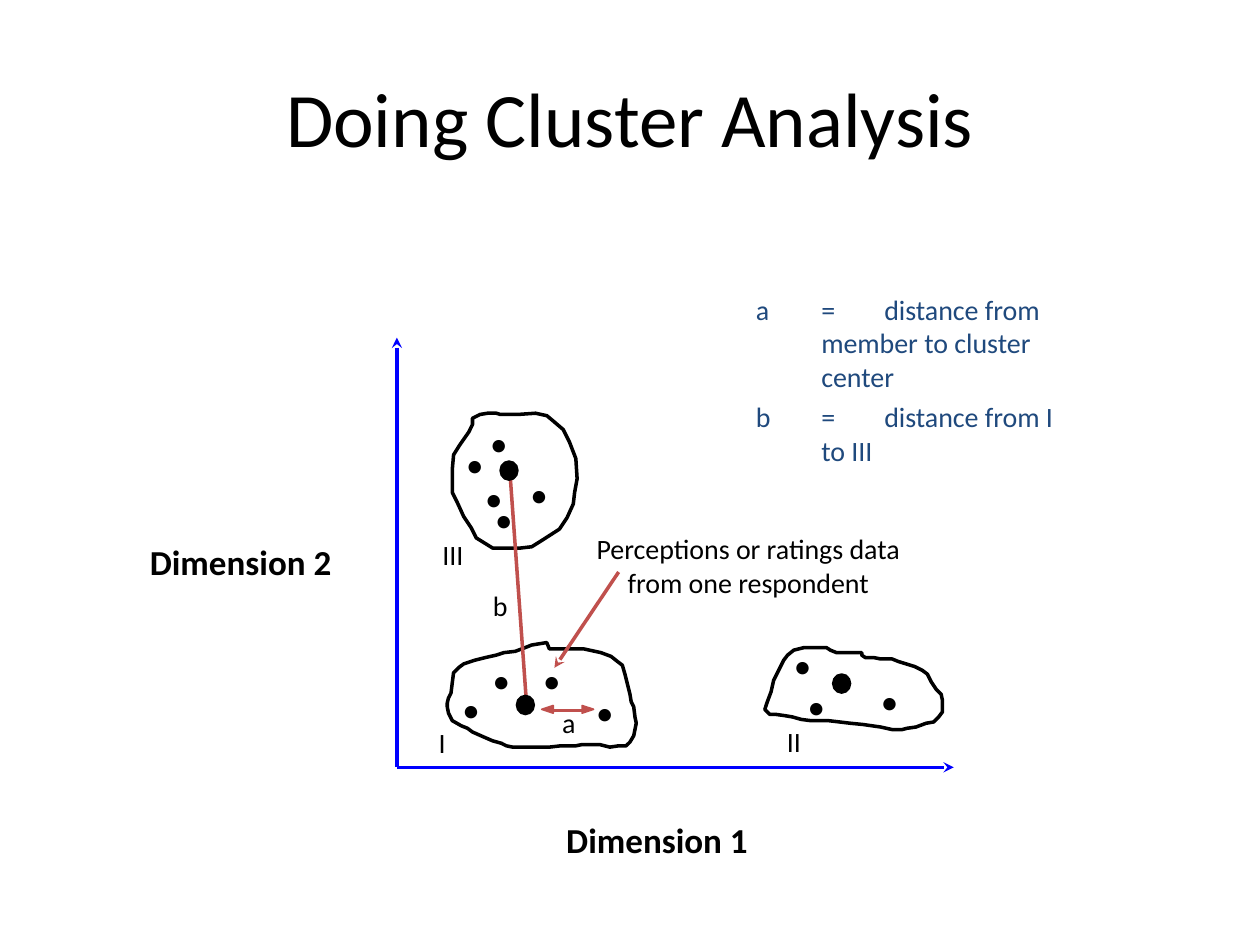
from dataclasses import dataclass

from lxml.etree import SubElement
from pptx import Presentation
from pptx.dml.color import RGBColor
from pptx.enum.shapes import MSO_CONNECTOR as Connector, MSO_SHAPE as Preset
from pptx.enum.text import MSO_ANCHOR as Anchor, MSO_AUTO_SIZE as AutoSize, PP_ALIGN as Align
from pptx.oxml.ns import qn
from pptx.util import Inches, Pt

COLORS = {"ink": "000000", "paper": "FFFFFF", "axis": "0000FF", "distance": "C0504D", "legend": "1F497D"}
FONT = "Calibri"
Point = tuple[float, float]


@dataclass(frozen=True)
class Cluster:
    outline: list[Point]
    center: Point
    members: list[Point]


@dataclass(frozen=True)
class Label:
    text: str
    left: float
    top: float
    width: float
    height: float = 0.37
    size: int = 16
    bold: bool = False
    wrap: bool = False


@dataclass(frozen=True)
class Line:
    start: Point
    end: Point
    color: str
    head: bool = False
    tail: bool = False


CLUSTER_I = Cluster(
    [(3.64, 5.3), (3.68, 5.27), (3.77, 5.24), (3.85, 5.22), (3.94, 5.2), (4, 5.18), (4.09, 5.17),
     (4.17, 5.14), (4.22, 5.12), (4.28, 5.11), (4.34, 5.1), (4.36, 5.15), (4.63, 5.15),
     (4.77, 5.18), (4.85, 5.21), (4.9, 5.25), (4.94, 5.28), (4.96, 5.35), (4.98, 5.43),
     (5, 5.51), (5.01, 5.57), (5.03, 5.61), (5.04, 5.69), (5.05, 5.74), (5.03, 5.84),
     (5, 5.89), (4.97, 5.92), (4.91, 5.92), (4.84, 5.93), (4.76, 5.91), (4.62, 5.91),
     (4.57, 5.92), (4.45, 5.92), (4.36, 5.93), (4.07, 5.93), (4.02, 5.92), (3.98, 5.9),
     (3.91, 5.88), (3.84, 5.85), (3.75, 5.81), (3.71, 5.78), (3.66, 5.76), (3.59, 5.72),
     (3.56, 5.66), (3.55, 5.61), (3.55, 5.58), (3.56, 5.54), (3.58, 5.5), (3.59, 5.42), (3.6, 5.34)],
    (4.1, 5.52),
    [(4.18, 5.18), (4.6, 5.43), (3.78, 5.18), (3.54, 5.41)],
)
CLUSTER_II = Cluster(
    [(6.22, 5.24), (6.25, 5.2), (6.3, 5.16), (6.34, 5.15), (6.38, 5.14), (6.56, 5.14), (6.59, 5.16),
     (6.64, 5.18), (6.84, 5.18), (6.84, 5.2), (6.87, 5.22), (6.94, 5.22), (6.99, 5.23),
     (7.08, 5.23), (7.13, 5.25), (7.26, 5.29), (7.32, 5.32), (7.36, 5.35), (7.38, 5.39),
     (7.39, 5.41), (7.43, 5.47), (7.47, 5.51), (7.48, 5.56), (7.48, 5.65), (7.45, 5.69),
     (7.41, 5.73), (7.35, 5.74), (7.27, 5.77), (7.2, 5.78), (7.16, 5.79), (7.08, 5.79),
     (6.99, 5.77), (6.85, 5.75), (6.75, 5.74), (6.58, 5.72), (6.44, 5.72), (6.36, 5.71),
     (6.29, 5.69), (6.23, 5.68), (6.16, 5.67), (6.11, 5.67), (6.09, 5.65), (6.07, 5.63),
     (6.09, 5.57), (6.12, 5.49), (6.14, 5.4), (6.17, 5.34)],
    (6.61, 5.35),
    [(6.17, 5.06), (6.28, 5.38), (6.86, 5.34)],
)
CLUSTER_III = Cluster(
    [(3.72, 3.43), (3.65, 3.53), (3.6, 3.61), (3.59, 3.72), (3.59, 3.91), (3.63, 3.99), (3.68, 4.1),
     (3.74, 4.19), (3.78, 4.27), (3.91, 4.35), (4.13, 4.35), (4.22, 4.34), (4.3, 4.29),
     (4.44, 4.2), (4.5, 4.11), (4.55, 4), (4.56, 3.91), (4.58, 3.8), (4.57, 3.64),
     (4.52, 3.51), (4.47, 3.41), (4.4, 3.35), (4.34, 3.3), (4.25, 3.28), (4.11, 3.29),
     (3.97, 3.29), (3.94, 3.28), (3.87, 3.28), (3.81, 3.29), (3.75, 3.32), (3.75, 3.37)],
    (3.97, 3.66),
    [(3.76, 3.3), (4.08, 3.7), (3.57, 3.46), (3.72, 3.73), (3.8, 3.9)],
)
CLUSTERS = [CLUSTER_I, CLUSTER_II, CLUSTER_III]

AXES = [
    Line((3.15, 2.68), (3.15, 6.09), "axis", head=True),
    Line((3.15, 6.09), (7.57, 6.09), "axis", tail=True),
]
BETWEEN_CENTERS = Line((4.05, 3.79), (4.18, 5.6), "distance")
RESPONDENT_POINTER = Line((4.91, 4.54), (4.4, 5.3), "distance", tail=True)
MEMBER_TO_CENTER = Line((4.37, 5.64), (4.63, 5.64), "distance")
MEMBER_ARROWHEADS = [
    [(4.62, 5.6), (4.62, 5.66), (4.71, 5.63)],
    [(4.39, 5.66), (4.39, 5.6), (4.3, 5.63)],
]
LABELS = [
    Label("Dimension 2", 1.05, 4.24, 1.72, 0.44, 20, bold=True, wrap=True),
    Label("Dimension 1", 4.18, 6.45, 2.07, 0.44, 20, bold=True, wrap=True),
    Label("Perceptions or ratings data\nfrom one respondent", 4.61, 4.17, 2.66, 0.64),
    Label("III", 3.41, 4.22, 0.37),
    Label("a", 4.36, 5.55, 0.31),
    Label("I", 3.38, 5.71, 0.26),
    Label("II", 6.14, 5.7, 0.32),
    Label("b", 3.81, 4.62, 0.32),
]
LEGEND = ["a\t=\tdistance from member to cluster center", "b\t=\tdistance from I to III"]


def rgb(name: str) -> RGBColor:
    return RGBColor.from_string(COLORS[name])


def add_run(paragraph, text: str, size: int, color: str = "ink", bold: bool = False) -> None:
    run = paragraph.add_run()
    run.text = text
    run.font.name = FONT
    run.font.size = Pt(size)
    run.font.bold = bold
    run.font.color.rgb = rgb(color)


def paint(shape, fill: str, line: str, weight: float) -> None:
    shape.shadow.inherit = False
    shape.fill.solid()
    shape.fill.fore_color.rgb = rgb(fill)
    shape.line.color.rgb = rgb(line)
    shape.line.width = Pt(weight)


def add_outline(shapes, points: list[Point], fill: str, line: str, weight: float) -> None:
    corners = [(Inches(x), Inches(y)) for x, y in points]
    builder = shapes.build_freeform(*corners[0])
    builder.add_line_segments(corners[1:], close=True)
    paint(builder.convert_to_shape(), fill, line, weight)


def add_center(shapes, center: Point) -> None:
    left, top = center
    dot = shapes.add_shape(Preset.OVAL, Inches(left), Inches(top), Inches(0.14), Inches(0.15))
    paint(dot, "ink", "ink", 1)


def add_line(shapes, line: Line) -> None:
    ends = [Inches(value) for value in (*line.start, *line.end)]
    connector = shapes.add_connector(Connector.STRAIGHT, *ends)
    connector.line.color.rgb = rgb(line.color)
    connector.line.width = Pt(2)
    stroke = connector.line._get_or_add_ln()
    for tag, shown in (("a:headEnd", line.head), ("a:tailEnd", line.tail)):
        if shown:
            SubElement(stroke, qn(tag), type="stealth")
    SubElement(connector._element.spPr, qn("a:effectLst"))


def add_frame(shapes, left: float, top: float, width: float, height: float, wrap: bool):
    frame = shapes.add_textbox(Inches(left), Inches(top), Inches(width), Inches(height)).text_frame
    frame.word_wrap = wrap
    frame.auto_size = AutoSize.SHAPE_TO_FIT_TEXT
    return frame


def add_label(shapes, label: Label) -> None:
    frame = add_frame(shapes, label.left, label.top, label.width, label.height, label.wrap)
    paragraph = frame.paragraphs[0]
    paragraph.alignment = Align.CENTER
    for index, words in enumerate(label.text.split("\n")):
        if index:
            paragraph.add_line_break()
        add_run(paragraph, words, label.size, bold=label.bold)


def add_legend(shapes) -> None:
    frame = add_frame(shapes, 5.9, 2.27, 2.77, 1.25, True)
    for index, entry in enumerate(LEGEND):
        paragraph = frame.add_paragraph() if index else frame.paragraphs[0]
        properties = paragraph._p.get_or_add_pPr()
        properties.set("marL", str(Inches(0.52)))
        properties.set("indent", str(-Inches(0.52)))
        SubElement(SubElement(properties, qn("a:spcAft")), qn("a:spcPct"), val="25000")
        tabs = SubElement(properties, qn("a:tabLst"))
        SubElement(tabs, qn("a:tab"), pos=str(Inches(0.31)), algn="ctr")
        add_run(paragraph, entry, 16, "legend")


def add_title(title) -> None:
    title.left, title.top, title.width, title.height = map(Inches, (0.5, 0.3, 9, 1.25))
    title.text_frame.vertical_anchor = Anchor.MIDDLE
    paragraph = title.text_frame.paragraphs[0]
    paragraph.alignment = Align.CENTER
    add_run(paragraph, "Doing Cluster Analysis", 44)


def main() -> None:
    deck = Presentation()
    deck.slide_width, deck.slide_height = Inches(10), Inches(7.5)
    shapes = deck.slides.add_slide(deck.slide_layouts[5]).shapes
    add_title(shapes.title)
    for axis in AXES:
        add_line(shapes, axis)
    for cluster in CLUSTERS:
        add_outline(shapes, cluster.outline, "paper", "ink", 2)
    add_line(shapes, BETWEEN_CENTERS)
    for cluster in CLUSTERS:
        add_center(shapes, cluster.center)
        for left, top in cluster.members:
            add_label(shapes, Label("•", left, top, 0.4, 0.44, 20, wrap=True))
    add_line(shapes, RESPONDENT_POINTER)
    for arrowhead in MEMBER_ARROWHEADS:
        add_outline(shapes, arrowhead, "distance", "distance", 1)
    add_line(shapes, MEMBER_TO_CENTER)
    for label in LABELS:
        add_label(shapes, label)
    add_legend(shapes)
    deck.save("out.pptx")


if __name__ == "__main__":
    main()
